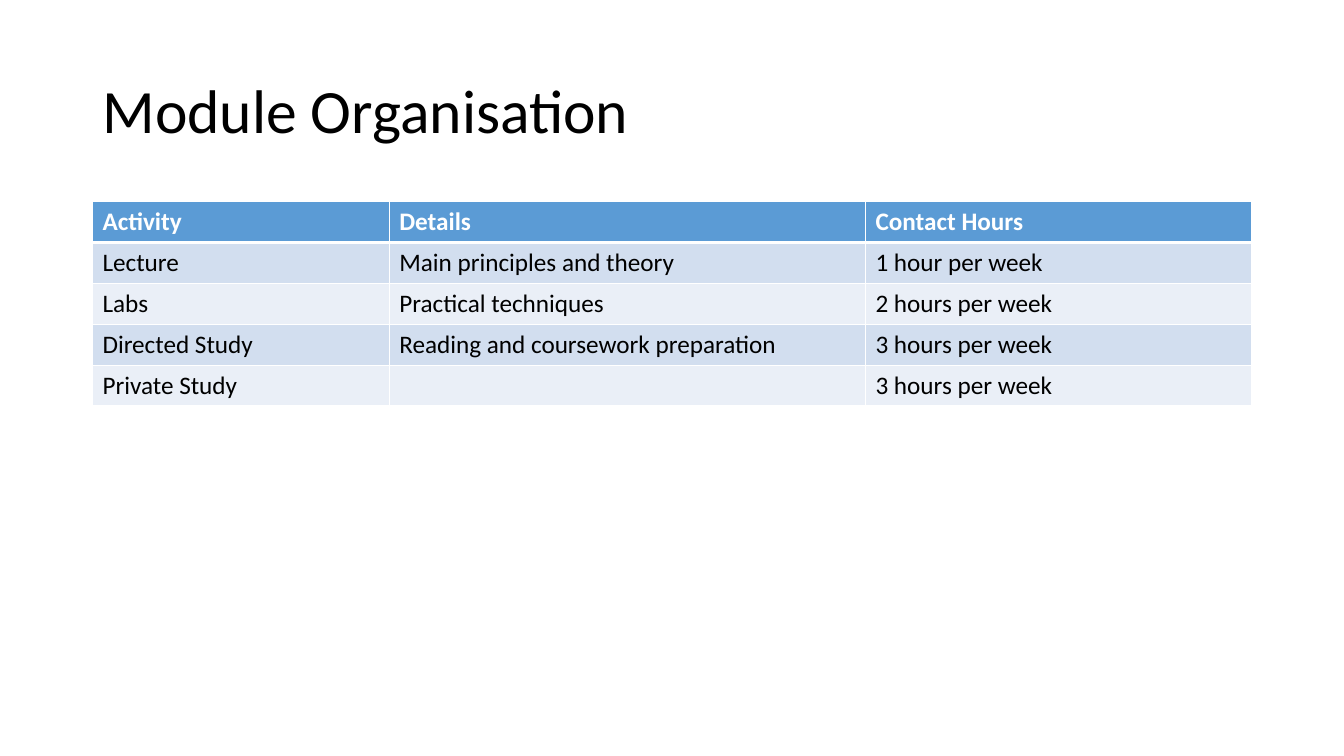
from lxml import etree
from pptx import Presentation, util as u
from pptx.dml.color import RGBColor
from pptx.enum import text
from pptx.oxml import ns

WHITE, BLACK, HEADER_BLUE = "FFFFFF", "000000", "5B9BD5"
BAND_FILLS = ("D2DEEF", "EAEFF7")
LEFT, WIDTH = u.Cm(2.33), u.Cm(29.21)
ROW_HEIGHT = u.Cm(1.03)
COLUMN_WIDTHS = (7.48, 12, 9.73)
ACTIVITIES = (
    ("Activity", "Details", "Contact Hours"),
    ("Lecture", "Main principles and theory", "1 hour per week"),
    ("Labs", "Practical techniques", "2 hours per week"),
    ("Directed Study", "Reading and coursework preparation", "3 hours per week"),
    ("Private Study", "", "3 hours per week"),
)


def rgb(value):
    return RGBColor.from_string(value)


def write(para, words, color, **formats):
    span = para.add_run()
    span.text = words
    span.font.color.rgb = rgb(color)
    for name, value in {"name": "Calibri", **formats}.items():
        setattr(span.font, name, value)


def add_title(page, words):
    box = page.shapes.title
    place = {"left": LEFT, "top": u.Cm(1.01), "width": WIDTH, "height": u.Cm(3.68)}
    for name, value in place.items():
        setattr(box, name, value)
    box.text_frame.vertical_anchor = text.MSO_ANCHOR.MIDDLE
    para = box.text_frame.paragraphs[0]
    para.alignment = text.PP_ALIGN.LEFT
    para.line_spacing = 0.9
    write(para, words, BLACK, size=u.Pt(44))


def add_border(cell, side, points):
    properties = cell._tc.get_or_add_tcPr()
    line = etree.SubElement(properties, ns.qn(f"a:ln{side}"), w=str(u.Pt(points)))
    fill = etree.SubElement(line, ns.qn("a:solidFill"))
    etree.SubElement(fill, ns.qn("a:srgbClr"), val=WHITE)


def format_cell(cell, words, row):
    header = row == 0
    widths = {"L": 1, "R": 1, "T": 3 if row == 1 else 1, "B": 3 if header else 1}
    for side, points in widths.items():
        add_border(cell, side, points)
    cell.fill.solid()
    cell.fill.fore_color.rgb = rgb(HEADER_BLUE if header else BAND_FILLS[(row - 1) % 2])
    if words:
        color = WHITE if header else BLACK
        write(cell.text_frame.paragraphs[0], words, color, size=u.Pt(18), bold=header)


def add_activity_table(page):
    rows, columns = len(ACTIVITIES), len(COLUMN_WIDTHS)
    frame = page.shapes.add_table(rows, columns, LEFT, u.Cm(5.08), WIDTH, ROW_HEIGHT * rows)
    table = frame.table
    for column, width in zip(table.columns, COLUMN_WIDTHS):
        column.width = u.Cm(width)
    for row, activity in enumerate(ACTIVITIES):
        table.rows[row].height = ROW_HEIGHT
        for column, words in enumerate(activity):
            format_cell(table.cell(row, column), words, row)


def main():
    deck = Presentation()
    deck.slide_width, deck.slide_height = u.Cm(33.87), u.Cm(19.05)
    page = deck.slides.add_slide(deck.slide_layouts[5])
    add_title(page, "Module Organisation")
    add_activity_table(page)
    deck.save("out.pptx")


if __name__ == "__main__":
    main()
